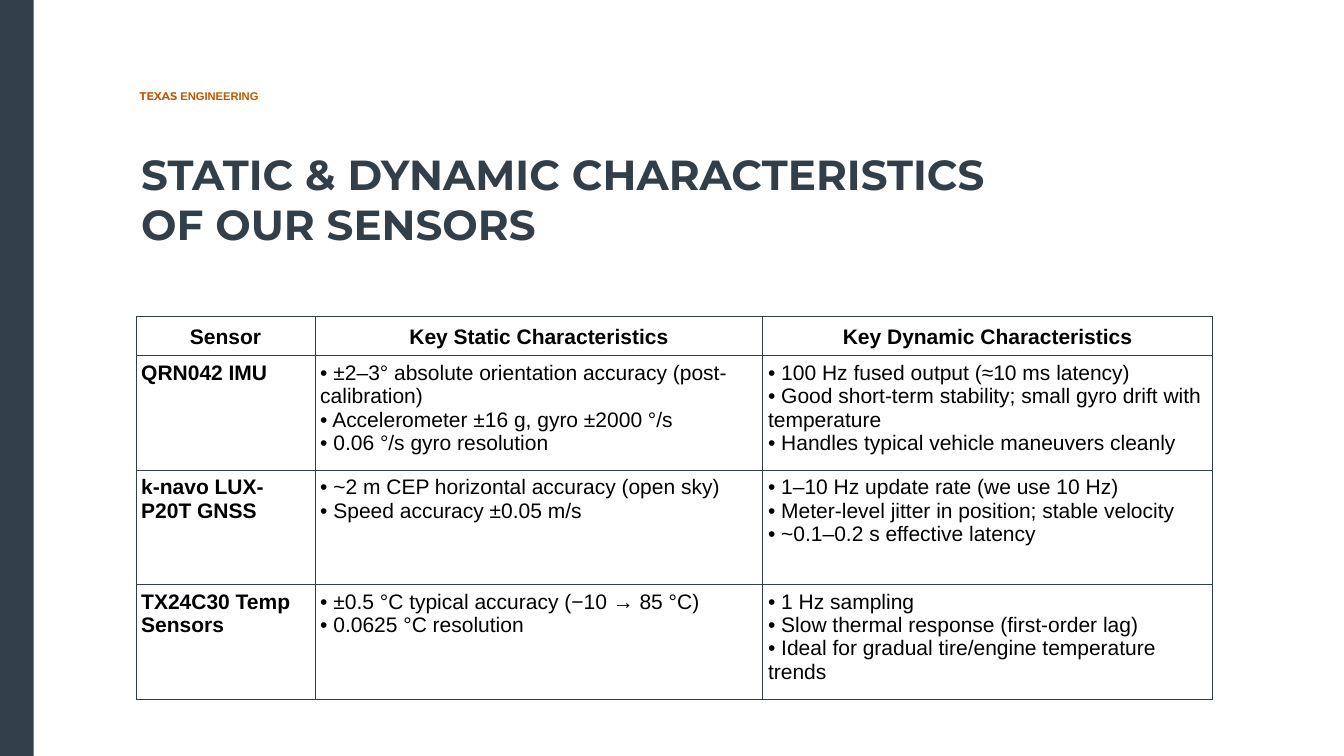
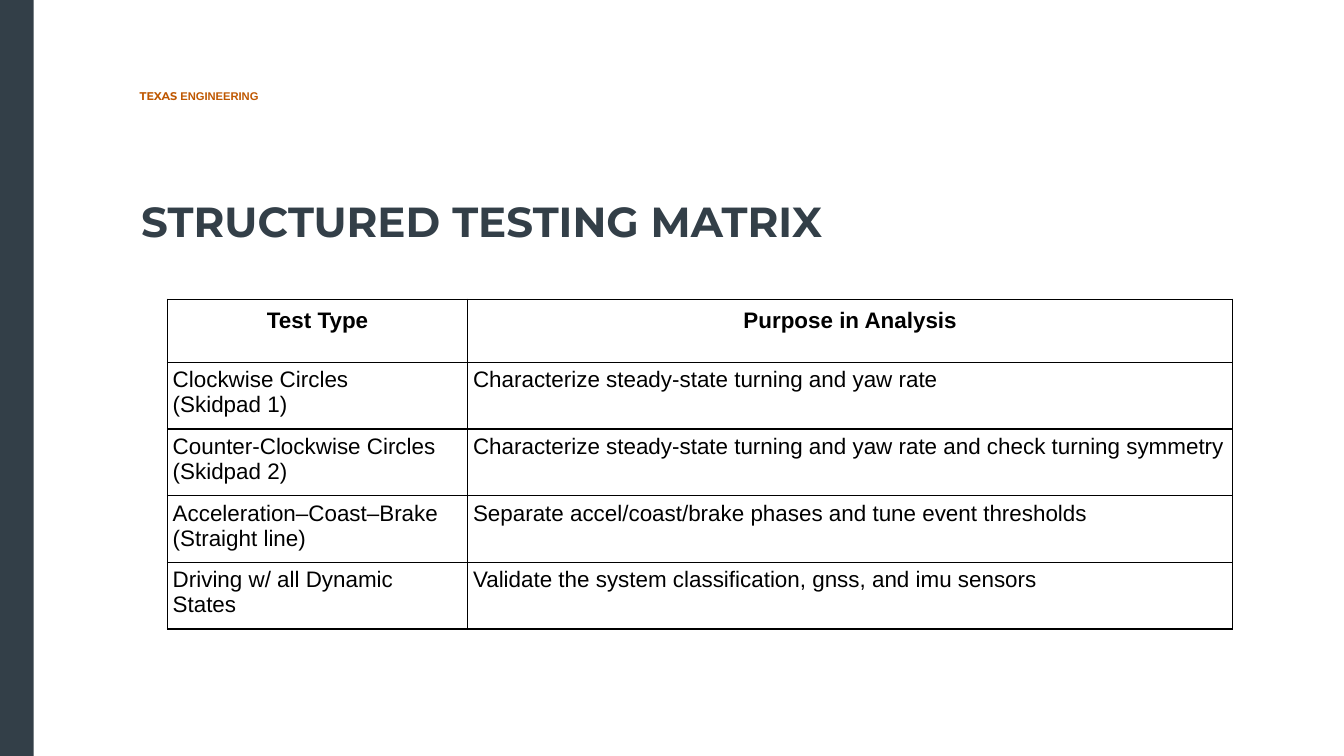
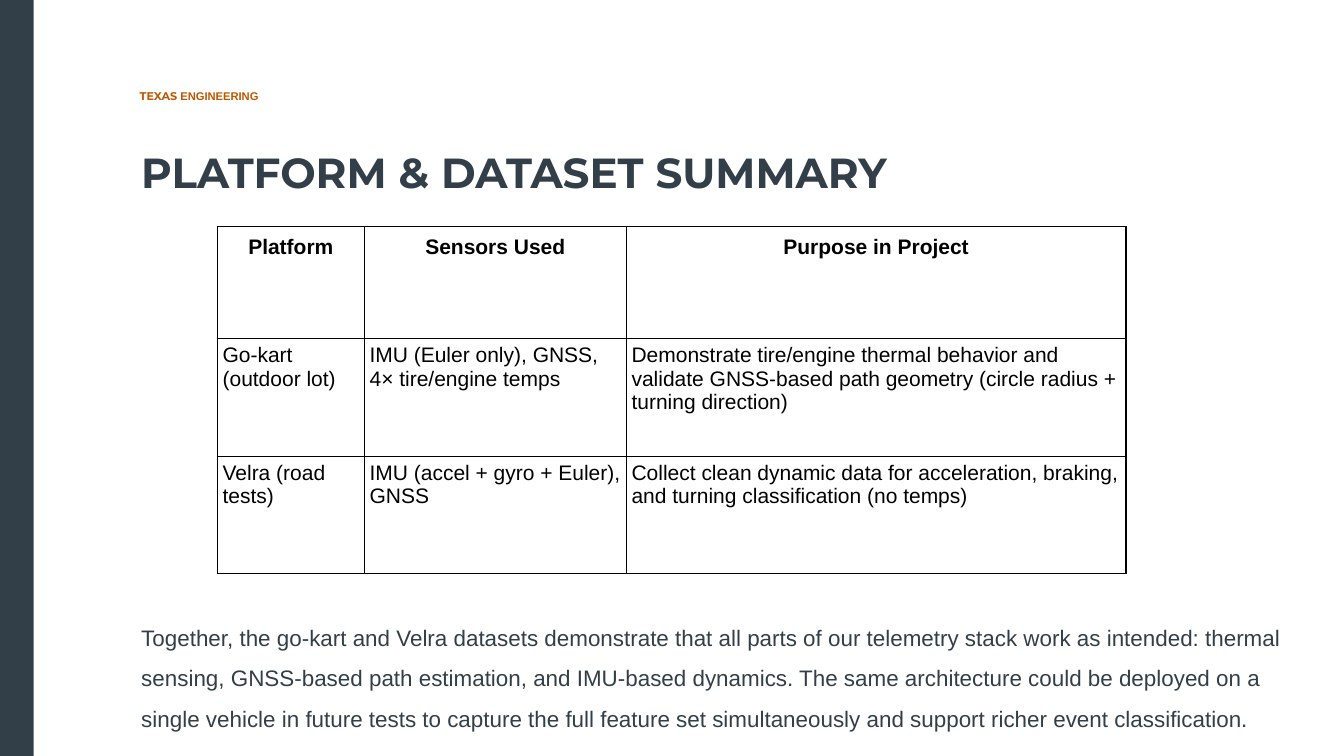
from lxml.etree import SubElement
from pptx import Presentation
from pptx.dml.color import RGBColor
from pptx.enum.shapes import MSO_SHAPE as SHAPE
from pptx.enum.text import MSO_ANCHOR as ANCHOR, MSO_AUTO_SIZE as FIT, PP_ALIGN as ALIGN
from pptx.oxml.ns import qn
from pptx.util import Pt

PX = 9525
W, H = 2560, 1440
LEFT = 259
PAD = 10
COLORS = {"slate": "333F48", "orange": "BF5700", "black": "000000"}
HEAD_FONT, BODY_FONT = "Montserrat", "Arial"

SENSORS = [
    ["Sensor", "Key Static Characteristics", "Key Dynamic Characteristics"],
    ["QRN042 IMU",
     "• ±2–3° absolute orientation accuracy (post-calibration)\n"
     "• Accelerometer ±16 g, gyro ±2000 °/s\n"
     "• 0.06 °/s gyro resolution",
     "• 100 Hz fused output (≈10 ms latency)\n"
     "• Good short-term stability; small gyro drift with temperature\n"
     "• Handles typical vehicle maneuvers cleanly"],
    ["k-navo LUX-P20T GNSS",
     "• ~2 m CEP horizontal accuracy (open sky)\n"
     "• Speed accuracy ±0.05 m/s",
     "• 1–10 Hz update rate (we use 10 Hz)\n"
     "• Meter-level jitter in position; stable velocity\n"
     "• ~0.1–0.2 s effective latency"],
    ["TX24C30 Temp Sensors",
     "• ±0.5 °C typical accuracy (−10 → 85 °C)\n"
     "• 0.0625 °C resolution",
     "• 1 Hz sampling\n"
     "• Slow thermal response (first-order lag)\n"
     "• Ideal for gradual tire/engine temperature trends"],
]
TESTS = [
    ["Test Type", "Purpose in Analysis"],
    ["Clockwise Circles\n(Skidpad 1)", "Characterize steady-state turning and yaw rate"],
    ["Counter-Clockwise Circles\n(Skidpad 2)",
     "Characterize steady-state turning and yaw rate and check turning symmetry"],
    ["Acceleration–Coast–Brake\n(Straight line)",
     "Separate accel/coast/brake phases and tune event thresholds"],
    ["Driving w/ all Dynamic States",
     "Validate the system classification, gnss, and imu sensors"],
]
PLATFORMS = [
    ["Platform", "Sensors Used", "Purpose in Project"],
    ["Go-kart (outdoor lot)", "IMU (Euler only), GNSS, 4× tire/engine temps",
     "Demonstrate tire/engine thermal behavior and validate GNSS-based path geometry "
     "(circle radius + turning direction)"],
    ["Velra (road tests)", "IMU (accel + gyro + Euler), GNSS",
     "Collect clean dynamic data for acceleration, braking, and turning classification "
     "(no temps)"],
]
SUMMARY = (
    "Together, the go-kart and Velra datasets demonstrate that all parts of our telemetry "
    "stack work as intended: thermal sensing, GNSS-based path estimation, and IMU-based "
    "dynamics. The same architecture could be deployed on a single vehicle in future tests "
    "to capture the full feature set simultaneously and support richer event classification."
)


def px(*lengths):
    return [round(n * PX) for n in lengths]


def rgb(name):
    return RGBColor.from_string(COLORS[name])


def add_run(p, text, size, font=BODY_FONT, color="black", bold=False):
    r = p.add_run()
    r.text = text
    r.font.size, r.font.name, r.font.bold = Pt(size), font, bold
    r.font.color.rgb = rgb(color)


def write(tf, text, align=ALIGN.LEFT, spacing=None, **fmt):
    """Fill a text frame, one paragraph for each line of text."""
    for i, line in enumerate(text.split("\n")):
        p = tf.paragraphs[0] if i == 0 else tf.add_paragraph()
        p.alignment = align
        if spacing:
            p.line_spacing = spacing
        add_run(p, line, **fmt)


def set_frame(tf):
    tf.word_wrap = True
    tf.auto_size = FIT.NONE
    tf.vertical_anchor = ANCHOR.TOP
    tf.margin_left = tf.margin_right = PAD * PX
    tf.margin_top = tf.margin_bottom = PAD // 2 * PX
    return tf


def add_textbox(s, box):
    return set_frame(s.shapes.add_textbox(*px(*box)).text_frame)


def add_brand(s):
    """Side band and department label shared by every slide."""
    p = add_textbox(s, (256, 166, 1163, 36)).paragraphs[0]
    for text, font in (("TEXAS", HEAD_FONT), (" ENGINEERING", BODY_FONT)):
        add_run(p, text, 16, font, "orange", True)
    band = s.shapes.add_shape(SHAPE.RECTANGLE, *px(0, 0, 64, H))
    band.shadow.inherit = False
    band.fill.solid()
    band.fill.fore_color.rgb = rgb("slate")
    band.line.fill.background()


def add_slide(prs, title, top, height):
    s = prs.slides.add_slide(prs.slide_layouts[5])
    sp = s.shapes.title
    sp.left, sp.top, sp.width, sp.height = px(LEFT, top, 1696, height)
    write(set_frame(sp.text_frame), title, size=60, font=HEAD_FONT, color="slate", bold=True)
    add_brand(s)
    return s


def set_borders(cell, color, width):
    tc_pr = cell._tc.get_or_add_tcPr()
    for i, side in enumerate(("lnL", "lnR", "lnT", "lnB")):
        ln = SubElement(tc_pr, qn(f"a:{side}"), w=str(Pt(width)))
        fill = SubElement(ln, qn("a:solidFill"))
        SubElement(fill, qn("a:srgbClr"), val=COLORS[color])
        tc_pr.insert(i, ln)


def add_grid(s, left, top, cols, rows, data, size, line, width, bold_first=False):
    """Plain ruled table with a centred bold header row."""
    frame = s.shapes.add_table(len(rows), len(cols), *px(left, top, sum(cols), sum(rows)))
    table = frame.table
    table.first_row = table.horz_banding = False
    for col, w in zip(table.columns, px(*cols)):
        col.width = w
    for row, h in zip(table.rows, px(*rows)):
        row.height = h
    for i, texts in enumerate(data):
        header = i == 0
        for j, text in enumerate(texts):
            cell = table.cell(i, j)
            cell.margin_left = cell.margin_right = PAD * PX
            cell.margin_top = cell.margin_bottom = PAD * PX
            cell.fill.background()
            set_borders(cell, line, width)
            write(cell.text_frame, text, size=size,
                  align=ALIGN.CENTER if header else ALIGN.LEFT,
                  spacing=1.15 if header else None,
                  bold=header or (bold_first and j == 0))


def sensors_slide(prs):
    s = add_slide(prs, "STATIC & DYNAMIC CHARACTERISTICS OF OUR SENSORS", 277, 397)
    add_grid(s, LEFT, 603, [341, 853, 856], [75] + [218] * 3, SENSORS,
             30, "slate", 1.5, bold_first=True)


def tests_slide(prs):
    s = add_slide(prs, "STRUCTURED TESTING MATRIX", 367, 204)
    add_grid(s, 319, 570, [572, 1457], [120] + [127] * 4, TESTS, 32, "black", 2.25)


def platforms_slide(prs):
    s = add_slide(prs, "PLATFORM & DATASET SUMMARY", 274, 107)
    add_grid(s, 414, 432, [280, 499, 952], [213] + [224] * 2, PLATFORMS, 30, "black", 2.25)
    write(add_textbox(s, (LEFT, 1158, 2228, 217)), SUMMARY,
          size=32, color="slate", spacing=1.5)


def main():
    prs = Presentation()
    prs.slide_width, prs.slide_height = px(W, H)
    for build in (sensors_slide, tests_slide, platforms_slide):
        build(prs)
    prs.save("out.pptx")


if __name__ == "__main__":
    main()
